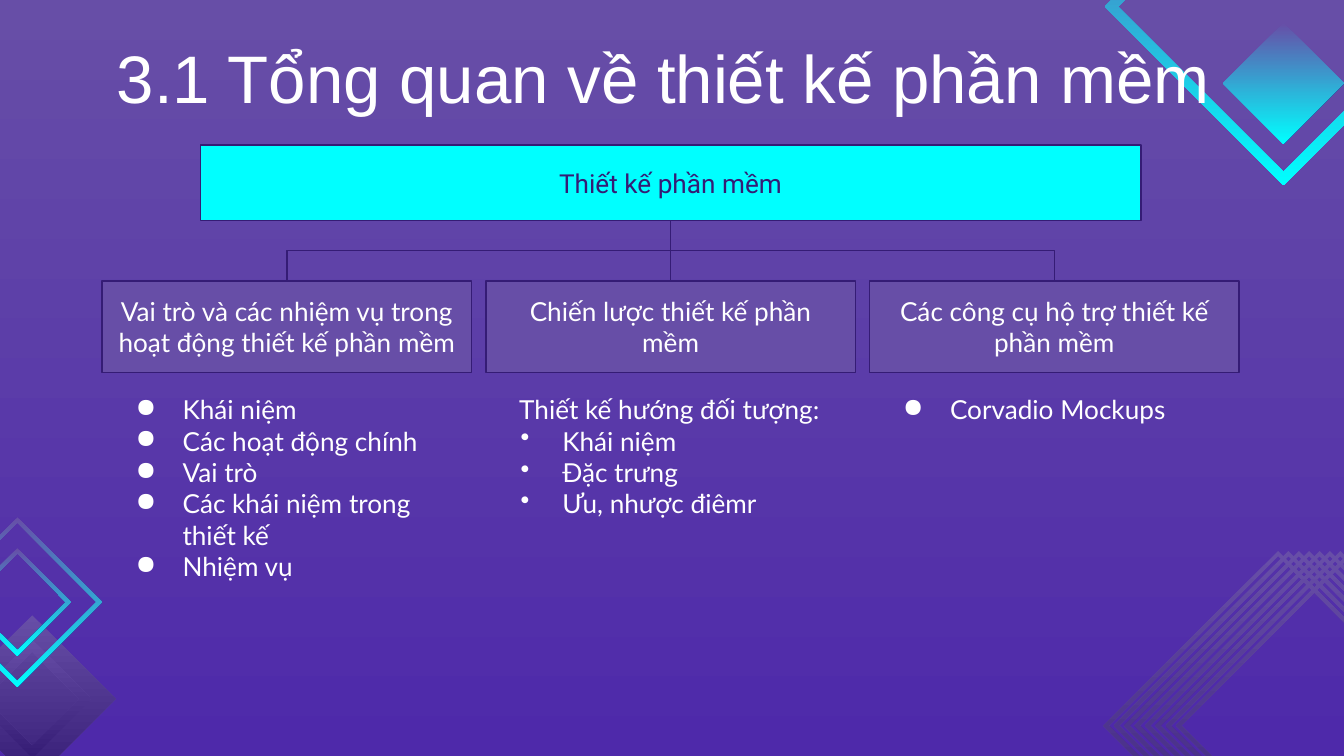
"""Build the software design overview slide."""
from dataclasses import dataclass
from typing import NamedTuple, Optional

from lxml import etree
from pptx import Presentation
from pptx import util as u
from pptx.dml import color
from pptx.enum import shapes, text
from pptx.oxml import ns


@dataclass(frozen=True)
class Theme:
    white: str = "FFFFFF"
    cyan: str = "00FFFF"
    violet: str = "674EA7"
    indigo: str = "4E29AA"
    navy: str = "351C75"
    head: str = "Arial"
    root: str = "Roboto"
    body: str = "Lato"
    big: float = 36
    small: float = 14
    rule: float = 0.75


class Gem(NamedTuple):
    x: float
    y: float
    outer: float
    inner: float
    end: str


class Item(NamedTuple):
    text: str
    mark: Optional[str] = "●"
    left: float = 0.5
    hang: float = -0.35


class Topic(NamedTuple):
    title: str
    items: list[Item]
    width: float = 2.75


THEME = Theme()
GEMS = [Gem(9.51 + 0.54 * i / 7, 5.4, 1.3, 1.26, THEME.navy) for i in range(8)] + [
    Gem(0.24, 5.2, 0.62, 0, THEME.navy),
    Gem(0.24, 5.2, 0.44, 0.35, THEME.navy),
    Gem(0.13, 4.48, 0.63, 0.59, THEME.cyan),
    Gem(0.13, 4.48, 0.4, 0.36, THEME.cyan),
    Gem(9.55, 0.62, 0.45, 0, THEME.cyan),
    Gem(9.55, 0.05, 1.33, 1.23, THEME.cyan),
]
TOPICS = [
    Topic("Vai trò và các nhiệm vụ trong hoạt động thiết kế phần mềm", [
        Item("Khái niệm"),
        Item("Các hoạt động chính"),
        Item("Vai trò"),
        Item("Các khái niệm trong thiết kế"),
        Item("Nhiệm vụ"),
    ]),
    Topic("Chiến lược thiết kế phần mềm", [
        Item("Thiết kế hướng đối tượng:", None, 0.15, 0),
        Item("Khái niệm", "•", 0.47, -0.31),
        Item("Đặc trưng", "•", 0.47, -0.31),
        Item("Ưu, nhược điêmr", "•", 0.47, -0.31),
    ]),
    Topic("Các công cụ hộ trợ thiết kế phần mềm", [Item("Corvadio Mockups")], 2.91),
]
LEFT, LAST, WIDE = 0.76, 6.47, 2.75
STEP = (LAST - LEFT) / 2
MID, FOOT, ROW = 4.99, 1.64, 2.09


def rgb(code: str) -> color.RGBColor:
    return color.RGBColor.from_string(code)


def blend(fill, first: str, last: str, angle: float) -> None:
    fill.gradient()
    fill.gradient_angle = angle
    for stop, code in zip(fill.gradient_stops, (first, last)):
        stop.color.rgb = rgb(code)


def style(font, face: str, size: float, code: str) -> None:
    font.name = face
    font.size = u.Pt(size)
    font.color.rgb = rgb(code)


def inset(frame, anchor) -> None:
    frame.word_wrap = True
    frame.auto_size = text.MSO_AUTO_SIZE.NONE
    frame.vertical_anchor = anchor
    frame.margin_left = frame.margin_right = u.Inches(0.1)
    frame.margin_top = frame.margin_bottom = u.Inches(0.1)


def draw_gem(slide, gem: Gem) -> None:
    def ring(size: float, turn: int) -> list[tuple[int, int]]:
        tips = [(0, -size), (turn * size, 0), (0, size), (-turn * size, 0)]
        return [(u.Inches(gem.x + dx), u.Inches(gem.y + dy)) for dx, dy in tips]

    tips = ring(gem.outer, 1)
    pen = slide.shapes.build_freeform(*tips[0])
    pen.add_line_segments(tips[1:])
    if gem.inner:
        tips = ring(gem.inner, -1)
        pen.move_to(*tips[0])
        pen.add_line_segments(tips[1:])
    shape = pen.convert_to_shape()
    shape.shadow.inherit = False
    shape.line.fill.background()
    blend(shape.fill, THEME.violet, gem.end, 270)


def draw_box(slide, words: str, x: float, y: float, w: float, h: float,
             fill: str, face: str, ink: str) -> None:
    box = slide.shapes.add_shape(shapes.MSO_SHAPE.RECTANGLE, *map(u.Inches, (x, y, w, h)))
    box.shadow.inherit = False
    box.fill.solid()
    box.fill.fore_color.rgb = rgb(fill)
    box.line.color.rgb = rgb(THEME.navy)
    box.line.width = u.Pt(THEME.rule)
    inset(box.text_frame, text.MSO_ANCHOR.MIDDLE)
    par = box.text_frame.paragraphs[0]
    par.text = words
    par.alignment = text.PP_ALIGN.CENTER
    style(par.font, face, THEME.small, ink)


def draw_list(slide, items: list[Item], x: float, w: float) -> None:
    area = slide.shapes.add_textbox(*map(u.Inches, (x, 2.83, w, 1.46)))
    frame = area.text_frame
    inset(frame, text.MSO_ANCHOR.TOP)
    for i, item in enumerate(items):
        par = frame.add_paragraph() if i else frame.paragraphs[0]
        par.text = item.text
        style(par.runs[0].font, THEME.body, THEME.small, THEME.white)
        props = par._p.get_or_add_pPr()
        props.set("marL", str(u.Inches(item.left)))
        props.set("indent", str(u.Inches(item.hang)))
        if item.mark:
            tint = etree.SubElement(props, ns.qn("a:buClr"))
            etree.SubElement(tint, ns.qn("a:srgbClr"), val=THEME.white)
            etree.SubElement(props, ns.qn("a:buSzPts"), val=str(THEME.small * 100))
            etree.SubElement(props, ns.qn("a:buChar"), char=item.mark)


def draw_link(slide, x: float) -> None:
    drop, span = ROW - FOOT, abs(x - MID)
    left, top = (x + MID - drop) / 2, (FOOT + ROW - span) / 2
    start, end = (left, left + drop) if x <= MID else (left + drop, left)
    link = slide.shapes.add_connector(
        shapes.MSO_CONNECTOR.ELBOW, *map(u.Inches, (start, top, end, top + span)))
    link.line.color.rgb = rgb(THEME.navy)
    link.line.width = u.Pt(THEME.rule)
    props = link._element.spPr
    props.find(ns.qn("a:xfrm")).set("rot", str((90 if x <= MID else 270) * 60000))
    etree.SubElement(props, ns.qn("a:effectLst"))


def draw_title(slide, words: str) -> None:
    title = slide.shapes.title
    title.left, title.top, title.width, title.height = map(u.Inches, (0.77, 0.17, 8.44, 0.63))
    inset(title.text_frame, text.MSO_ANCHOR.TOP)
    par = title.text_frame.paragraphs[0]
    par.text = words
    par.alignment = text.PP_ALIGN.LEFT
    style(par.font, THEME.head, THEME.big, THEME.white)


def main() -> None:
    deck = Presentation()
    deck.slide_width, deck.slide_height = u.Inches(10), u.Inches(10 * 9 / 16)
    slide = deck.slides.add_slide(deck.slide_layouts[5])
    blend(slide.background.fill, THEME.indigo, THEME.violet, 90)
    for gem in GEMS:
        draw_gem(slide, gem)
    draw_title(slide, "3.1 Tổng quan về thiết kế phần mềm")
    slide.shapes._spTree.append(slide.shapes.title._element)
    draw_box(slide, "Thiết kế phần mềm", 1.49, 1.08, 7, FOOT - 1.08,
             THEME.cyan, THEME.root, THEME.navy)
    for i, topic in enumerate(TOPICS):
        x = LEFT + i * STEP
        draw_box(slide, topic.title, x, ROW, WIDE, 0.68,
                 THEME.violet, THEME.body, THEME.white)
        draw_list(slide, topic.items, x, topic.width)
        draw_link(slide, MID + (i - 1) * STEP)
    deck.save("out.pptx")


if __name__ == "__main__":
    main()
